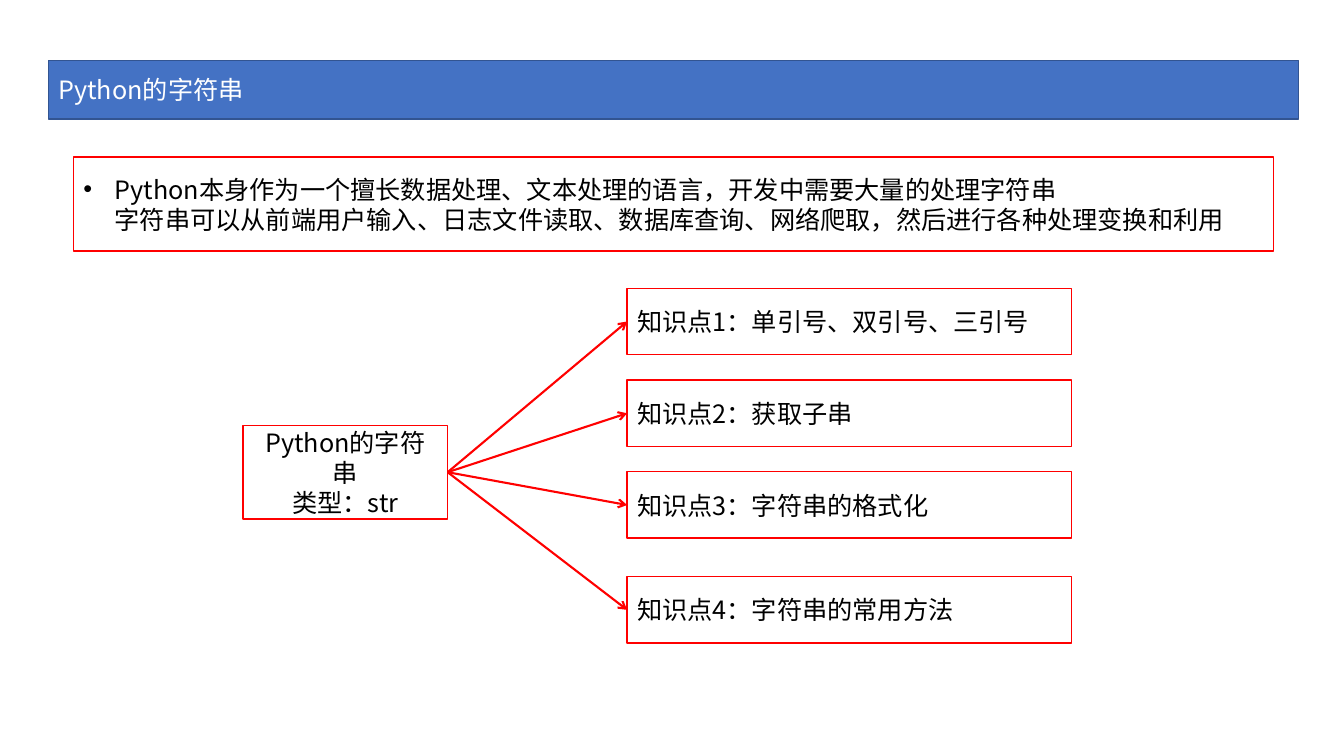
from dataclasses import dataclass

from lxml.etree import SubElement
from pptx import Presentation
from pptx.dml.color import RGBColor
from pptx.enum.shapes import MSO_CONNECTOR, MSO_SHAPE
from pptx.enum.text import MSO_ANCHOR, PP_ALIGN
from pptx.oxml.ns import qn
from pptx.util import Inches, Pt


@dataclass(frozen=True)
class Theme:
    """Colours, font and sizes of the slide."""
    banner: RGBColor = RGBColor(0x44, 0x72, 0xC4)
    banner_edge: RGBColor = RGBColor(0x32, 0x54, 0x91)
    accent: RGBColor = RGBColor(0xFF, 0, 0)
    paper: RGBColor = RGBColor(0xFF, 0xFF, 0xFF)
    ink: RGBColor = RGBColor(0, 0, 0)
    font: str = "Noto Sans CJK SC"
    body: Pt = Pt(18)
    border: Pt = Pt(1)
    arrow: Pt = Pt(1.5)


THEME = Theme()
RIGHT_SITE, LEFT_SITE = 3, 1


def write_text(frame, text, color=THEME.ink, align=PP_ALIGN.LEFT, bullet=False):
    """Write text: newlines split paragraphs, vertical tabs break lines."""
    frame.word_wrap = True
    frame.vertical_anchor = MSO_ANCHOR.MIDDLE
    frame.text = text
    for paragraph in frame.paragraphs:
        paragraph.alignment = align
        if bullet:
            properties = paragraph._p.get_or_add_pPr()
            properties.set("marL", str(Inches(0.31)))
            properties.set("indent", str(Inches(-0.31)))
            SubElement(properties, qn("a:buFont"), typeface="Arial")
            SubElement(properties, qn("a:buChar"), char="•")
        for run in paragraph.runs:
            run.font.size = THEME.body
            run.font.color.rgb = color
            run.font.name = THEME.font
            SubElement(run._r.get_or_add_rPr(), qn("a:ea"), typeface=THEME.font)


def add_box(slide, box, text, fill=THEME.paper, edge=THEME.accent, **text_format):
    """Add a bordered rectangle with text in a box of inches."""
    panel = slide.shapes.add_shape(MSO_SHAPE.RECTANGLE, *map(Inches, box))
    panel.shadow.inherit = False
    panel.fill.solid()
    panel.fill.fore_color.rgb = fill
    panel.line.color.rgb = edge
    panel.line.width = THEME.border
    write_text(panel.text_frame, text, **text_format)
    return panel


def add_arrow(slide, source, target):
    """Link the right side of source to the left side of target."""
    arrow = slide.shapes.add_connector(MSO_CONNECTOR.STRAIGHT, 0, 0, 0, 0)
    arrow.begin_connect(source, RIGHT_SITE)
    arrow.end_connect(target, LEFT_SITE)
    arrow.line.color.rgb = THEME.accent
    arrow.line.width = THEME.arrow
    SubElement(arrow.get_or_add_ln(), qn("a:tailEnd"), type="arrow")
    SubElement(arrow._element.spPr, qn("a:effectLst"))


def add_banner(slide, box, title):
    """Add the title banner."""
    add_box(slide, box, title, fill=THEME.banner, edge=THEME.banner_edge,
            color=THEME.paper)


def add_topic_map(slide, box, topic, points):
    """Add a topic at the left with arrows to its points at the right."""
    left, top, width, _ = box
    root = add_box(slide, (left, top + 1.36, 2.03, 0.93), topic,
                   align=PP_ALIGN.CENTER)
    point_width = 4.41
    branches = [
        add_box(slide, (left + width - point_width, top + offset, point_width, 0.66),
                f"知识点{number}：{point}")
        for number, (offset, point) in enumerate(points, 1)
    ]
    for branch in branches:
        add_arrow(slide, root, branch)


def main():
    """Build and save the slide."""
    deck = Presentation()
    deck.slide_width, deck.slide_height = Inches(13.33), Inches(7.5)
    slide = deck.slides.add_slide(deck.slide_layouts[6])
    add_banner(slide, (0.48, 0.6, 12.4, 0.58), "Python的字符串")
    add_box(
        slide, (0.73, 1.56, 11.9, 0.93),
        "Python本身作为一个擅长数据处理、文本处理的语言，开发中需要大量的处理字符串\v"
        "字符串可以从前端用户输入、日志文件读取、数据库查询、网络爬取，然后进行各种处理变换和利用",
        bullet=True)
    add_topic_map(
        slide, (2.41, 2.86, 8.22, 3.52), "Python的字符串\n类型：str",
        [(0, "单引号、双引号、三引号"), (0.91, "获取子串"),
         (1.82, "字符串的格式化"), (2.86, "字符串的常用方法")])
    deck.save("out.pptx")


if __name__ == "__main__":
    main()
